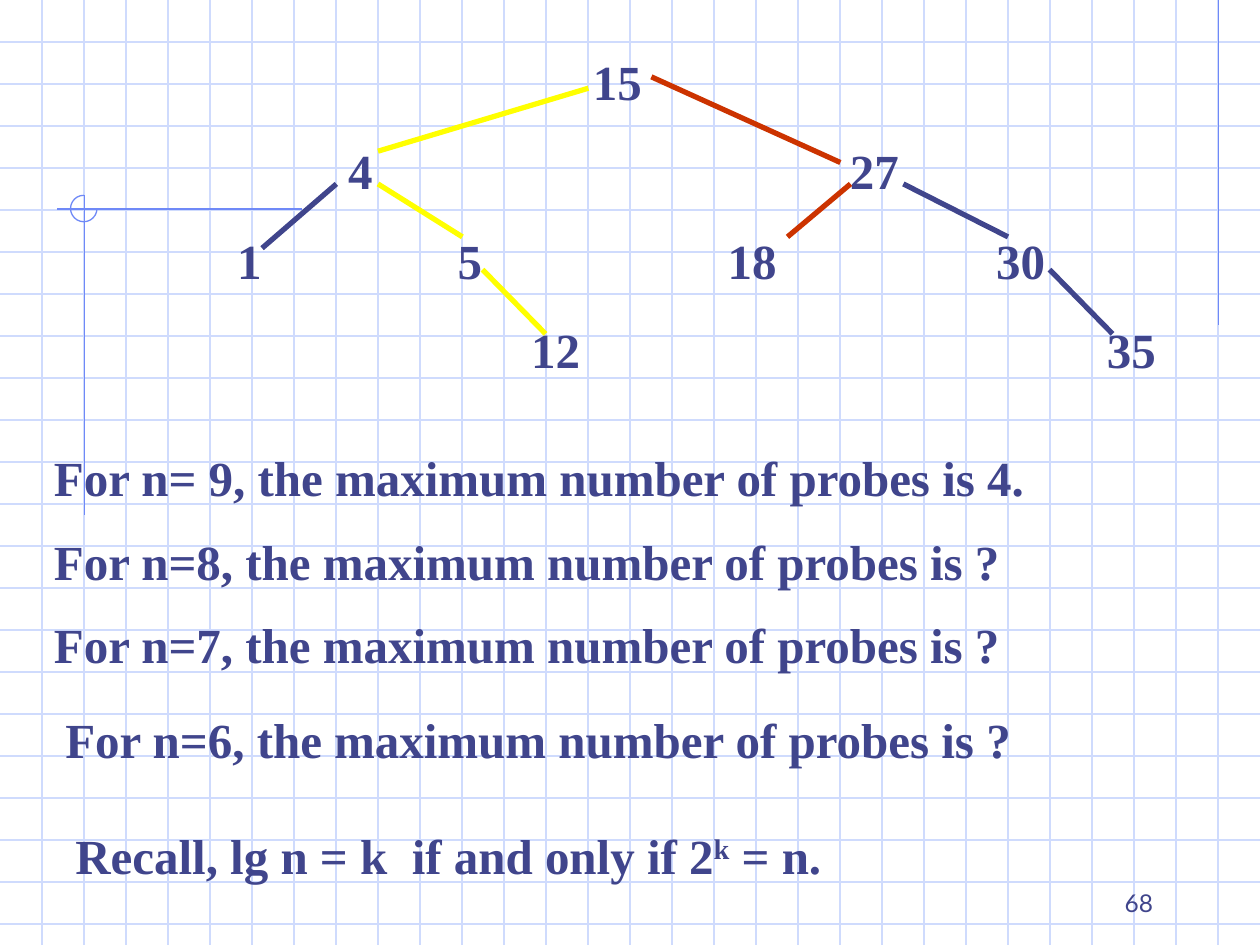
from dataclasses import dataclass

from lxml.etree import SubElement
from pptx import Presentation
from pptx.dml.color import RGBColor
from pptx.enum.shapes import MSO_CONNECTOR as Connector, MSO_SHAPE as Shape
from pptx.enum.text import MSO_ANCHOR as Anchor, PP_ALIGN as Align
from pptx.oxml.ns import qn
from pptx.util import Inches, Pt

WIDTH, HEIGHT = 10, 7.5
COLORS = {
    "grid": "CFDBFD",
    "accent": "6F89F7",
    "ink": "40458C",
    "yellow": "FFFF00",
    "red": "CC3300",
}
GRID_STEP = 1 / 3
TREE_TOP, LEVEL_STEP = 0.36, 0.71
NODE_WIDTH, LINE_HEIGHT = 0.8, 0.57


@dataclass(frozen=True)
class Node:
    label: str
    center: float
    level: int


@dataclass(frozen=True)
class Edge:
    start: tuple[float, float]
    end: tuple[float, float]
    color: str


@dataclass(frozen=True)
class Statement:
    text: str
    left: float
    top: float


NODES = [
    Node("15", 4.9, 0),
    Node("4", 2.86, 1),
    Node("27", 6.94, 1),
    Node("1", 1.98, 2),
    Node("5", 3.73, 2),
    Node("18", 5.97, 2),
    Node("30", 8.1, 2),
    Node("12", 4.41, 3),
    Node("35", 8.98, 3),
]
EDGES = [
    Edge((3, 1.2), (4.67, 0.7), "yellow"),
    Edge((2.08, 1.97), (2.67, 1.46), "ink"),
    Edge((3, 1.46), (3.67, 1.88), "yellow"),
    Edge((3.83, 2.14), (4.33, 2.65), "yellow"),
    Edge((5.17, 0.61), (6.67, 1.29), "red"),
    Edge((6.75, 1.46), (6.25, 1.88), "red"),
    Edge((7.17, 1.46), (8, 1.88), "ink"),
    Edge((8.33, 2.14), (8.83, 2.65), "ink"),
]
ACCENT_EDGES = [
    Edge((9.67, 0), (9.67, 2.58), "accent"),
    Edge((2.4, 1.66), (0.45, 1.66), "accent"),
    Edge((0.67, 1.55), (0.67, 4.09), "accent"),
]
STATEMENTS = [
    Statement("For n= 9, the maximum number of probes is 4.", 0.33, 3.5),
    Statement("For n=8, the maximum number of probes is ?", 0.33, 4.17),
    Statement("For n=7, the maximum number of probes is ?", 0.33, 4.83),
    Statement("For n=6, the maximum number of probes is ?", 0.42, 5.58),
]


def rgb(name: str) -> RGBColor:
    return RGBColor.from_string(COLORS[name])


def add_line(page, edge: Edge, weight: float = 0.75) -> None:
    points = [Inches(value) for value in (*edge.start, *edge.end)]
    line = page.shapes.add_connector(Connector.STRAIGHT, *points)
    line.line.color.rgb = rgb(edge.color)
    line.line.width = Pt(weight)
    SubElement(line._element.spPr, qn("a:effectLst"))


def add_text(page, text: str | list[tuple[str, int]], left: float, top: float,
             width: float, height: float = LINE_HEIGHT, *, size: float = 28,
             font: str = "Times New Roman", bold: bool = True,
             align=Align.LEFT, anchor=Anchor.TOP) -> None:
    """Add one paragraph; a list gives (text, baseline shift in percent) spans."""
    box = page.shapes.add_textbox(*map(Inches, (left, top, width, height)))
    frame = box.text_frame
    frame.word_wrap = True
    frame.vertical_anchor = anchor
    para = frame.paragraphs[0]
    para.alignment = align
    for content, shift in [(text, 0)] if isinstance(text, str) else text:
        span = para.add_run()
        span.text = content
        span.font.name = font
        span.font.size = Pt(size)
        span.font.bold = bold
        span.font.color.rgb = rgb("ink")
        if shift:
            span.font._element.set("baseline", str(shift * 1000))


def add_background(page) -> None:
    for row in range(1, int(HEIGHT / GRID_STEP) + 1):
        y = row * GRID_STEP
        add_line(page, Edge((0, y), (WIDTH, y), "grid"))
    for column in range(1, round(WIDTH / GRID_STEP)):
        x = column * GRID_STEP
        add_line(page, Edge((x, 0), (x, HEIGHT), "grid"))
    for edge in ACCENT_EDGES:
        add_line(page, edge)

    arc = page.shapes.add_shape(Shape.ARC, *map(Inches, (0.56, 1.55, 0.21, 0.21)))
    arc.adjustments[0] = 0
    arc.adjustments[1] = 162  # 270 degrees, in units of 100000 / 60000 degree
    arc.fill.background()
    arc.line.color.rgb = rgb("accent")
    arc.line.width = Pt(0.75)
    arc.shadow.inherit = False


def add_tree(page) -> None:
    for node in NODES:
        add_text(page, node.label, node.center - NODE_WIDTH / 2,
                 TREE_TOP + node.level * LEVEL_STEP, NODE_WIDTH, align=Align.CENTER)
    for edge in EDGES:
        add_line(page, edge, weight=3)


def main() -> None:
    deck = Presentation()
    deck.slide_width, deck.slide_height = Inches(WIDTH), Inches(HEIGHT)
    page = deck.slides.add_slide(deck.slide_layouts[6])
    add_background(page)
    add_tree(page)
    for statement in STATEMENTS:
        add_text(page, statement.text, statement.left, statement.top, 8.58)
    recall = [("Recall, lg n = k  if and only if 2", 0), ("k", 30), (" = n.", 0)]
    add_text(page, recall, 0.5, 6.5, 7.92)
    add_text(page, "68", 7.17, 6.83, 2.08, 0.5, size=14, font="Lato", bold=False,
             align=Align.RIGHT, anchor=Anchor.BOTTOM)
    deck.save("out.pptx")


if __name__ == "__main__":
    main()
